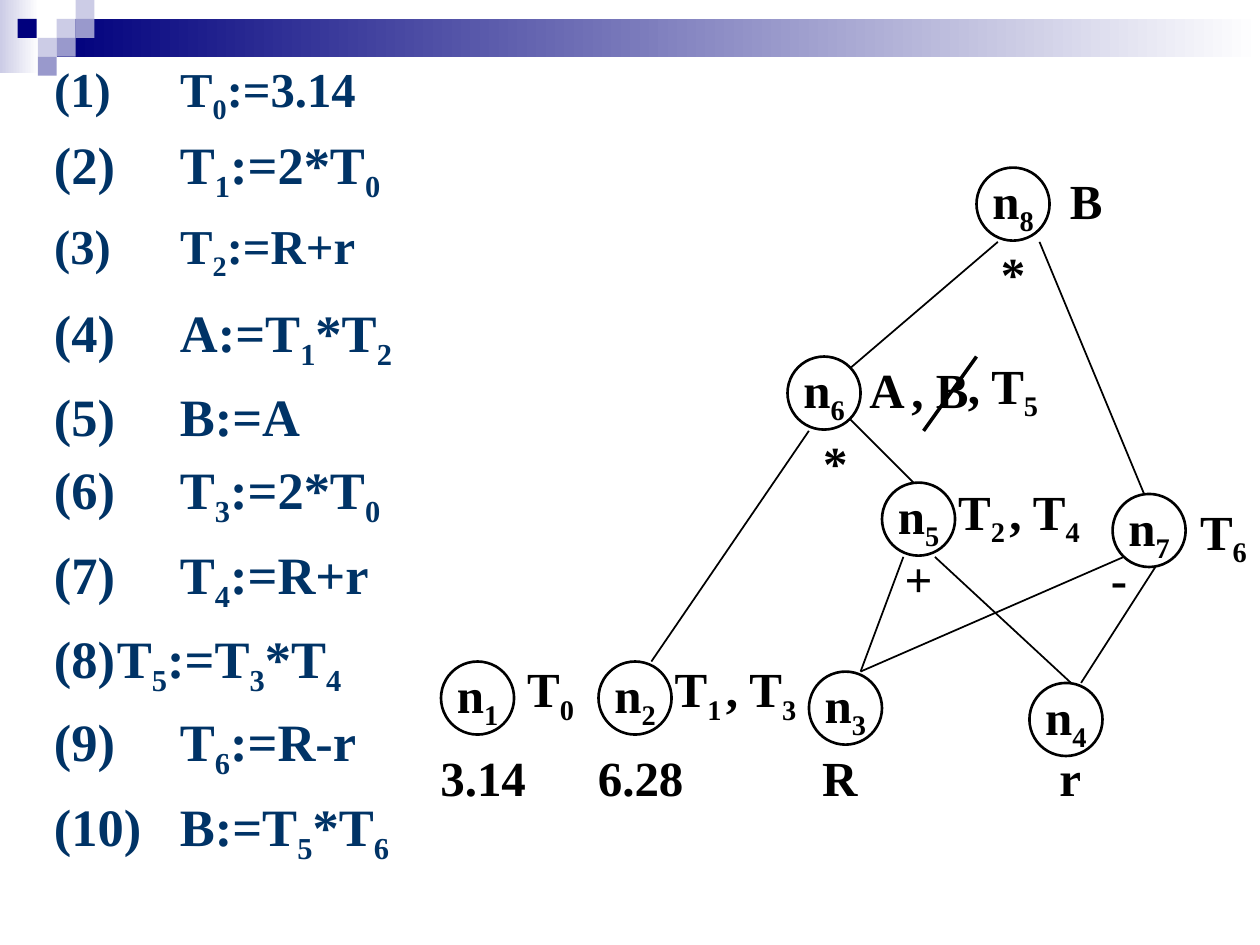
import pptx
import pptx.util
import pptx.dml.color
import pptx.enum.shapes
import pptx.enum.text
import pptx.oxml.ns
import lxml.etree

Inches = pptx.util.Inches
Pt = pptx.util.Pt
kinds = pptx.enum.shapes.MSO_SHAPE
qn = pptx.oxml.ns.qn


def ink(hue):
    return pptx.dml.color.RGBColor.from_string(hue)


def write(shape, text, size=28, hue="000000", label=True, gap=1.0, tab=None):
    frame = shape.text_frame
    frame.auto_size = pptx.enum.text.MSO_AUTO_SIZE.NONE
    frame.word_wrap = not label
    frame.margin_left = frame.margin_right = Inches(0.1)
    frame.margin_top = frame.margin_bottom = Inches(0.05)
    anchors = pptx.enum.text.MSO_ANCHOR
    frame.vertical_anchor = anchors.MIDDLE if label else anchors.TOP
    para = frame.paragraphs[0]
    aligns = pptx.enum.text.PP_ALIGN
    para.alignment = aligns.CENTER if label else aligns.LEFT
    para.line_spacing = gap
    para.space_before = Pt(0)
    if tab:
        props = para._p.get_or_add_pPr()
        props.set("marL", "0")
        props.set("indent", "0")
        lxml.etree.SubElement(props, qn("a:buNone"))
        stops = lxml.etree.SubElement(props, qn("a:tabLst"))
        lxml.etree.SubElement(stops, qn("a:tab"), pos=str(Inches(tab)), algn="l")
    first, *rest = text.split("_")
    parts = [(first, False)]
    for part in rest:
        parts += [(part[0], True), (part[1:], False)]
    for part, low in parts:
        if part:
            run = para.add_run()
            run.text = part
            run.font.name = "Times New Roman"
            run.font.size = Pt(size)
            run.font.bold = True
            run.font.color.rgb = ink(hue)
            if low:
                run._r.get_or_add_rPr().set("baseline", "-25000")


deck = pptx.Presentation()
deck.slide_width = Inches(10)
deck.slide_height = Inches(7.5)
slide = deck.slides.add_slide(deck.slide_layouts[3])
shapes = slide.shapes
title = shapes.title
title._element.getparent().remove(title._element)
bodies = {1: slide.placeholders[1], 3: slide.placeholders[2]}

side = 0.15
bars = [
    (0, 0, 0.31, 0.58, "CCCCE6", True),
    (0.45, 0.15, 9.55, 0.3, "00007D", True),
    (0.45, 0.15, side, side, "CCCCE6", False),
    (0.6, 0, side, side, "CCCCE6", False),
    (0.6, 0.15, side, side, "9999CC", False),
    (0.3, 0.3, side, side, "CCCCE6", False),
    (0.14, 0.15, side, side, "00007D", False),
    (0.45, 0.3, side, side, "9999CC", False),
    (0.3, 0.45, side, side, "9999CC", False),
]
for left, top, wide, high, hue, fade in bars:
    bar = shapes.add_shape(kinds.RECTANGLE, Inches(left), Inches(top), Inches(wide), Inches(high))
    bar.shadow.inherit = False
    bar.line.fill.background()
    if fade:
        bar.fill.gradient()
        bar.fill.gradient_angle = 0
        for stop, shade, place in zip(bar.fill.gradient_stops, (hue, "FFFFFF"), (0, 1)):
            stop.color.rgb = ink(shade)
            stop.position = place
    else:
        bar.fill.solid()
        bar.fill.fore_color.rgb = ink(hue)

codes = [
    ("(1) \tT_0:=3.14", 0.42, 3.08, 0.67),
    ("(2) \tT_1:=2*T_0", 1, 3, 0.75),
    ("(3) \tT_2:=R+r", 1.67, 2.92, 0.67),
    ("(4) \tA:=T_1*T_2", 2.33, 3, 0.75),
    ("(5) \tB:=A", 3, 2.83, 0.67),
    ("(6) \tT_3:=2*T_0", 3.58, 3, 0.75),
    ("(7) \tT_4:=R+r", 4.25, 3.17, 0.83),
    ("(8)\tT_5:=T_3*T_4", 4.92, 3.33, 0.83),
    ("(9) \tT_6:=R-r", 5.58, 3, 0.75),
    ("(10)\tB:=T_5*T_6", 6.25, 3, 0.83),
]
for row, (text, top, wide, high) in enumerate(codes, 1):
    spot = Inches(0.33), Inches(top), Inches(wide), Inches(high)
    if row in bodies:
        box = bodies[row]
        box.left, box.top, box.width, box.height = spot
    else:
        box = shapes.add_textbox(*spot)
    write(box, text, size=27.8 if row in bodies else 30, hue="003366", label=False,
          gap=0.9 if row in bodies else 1.0, tab=0.9 if row == 8 else 1)

nodes = [(3.5, 5.25), (4.75, 5.25), (6.42, 5.33), (8.17, 5.42),
         (7, 3.83), (6.25, 2.83), (8.83, 3.92), (7.75, 1.33)]
for num, (left, top) in enumerate(nodes, 1):
    node = shapes.add_shape(kinds.OVAL, Inches(left), Inches(top), Inches(0.58), Inches(0.58))
    node.shadow.inherit = False
    node.fill.background()
    node.line.color.rgb = ink("000000")
    node.line.width = Pt(1.5)
    write(node, f"n_{num}")

edges = [
    (7.17, 4.42, 6.83, 5.33, 1),
    (7.42, 4.42, 8.5, 5.42, 1),
    (6.42, 3.42, 5.17, 5.25, 1),
    (6.75, 3.33, 7.25, 3.83, 1),
    (6.83, 5.33, 8.92, 4.42, 1),
    (8.58, 5.42, 9.17, 4.5, 1),
    (7.92, 1.92, 6.75, 2.92, 1),
    (8.25, 1.92, 9.08, 3.92, 1),
    (7.75, 2.83, 7.33, 3.42, 2),
]
for *ends, thick in edges:
    edge = shapes.add_connector(pptx.enum.shapes.MSO_CONNECTOR.STRAIGHT, *map(Inches, ends))
    edge.line.color.rgb = ink("000000")
    edge.line.width = Pt(thick)
    lxml.etree.SubElement(edge._element.spPr, qn("a:effectLst"))

labels = {
    0.83: [("3.14", 3.42, 6), ("6.28", 4.67, 6), ("R", 6.25, 6), ("r", 8.08, 6)],
    0.58: [("T_0", 4.08, 5.33), ("T_1", 5.25, 5.33), (", T_3", 5.75, 5.33),
           ("T_2", 7.5, 3.92), (", T_4", 8, 3.92), ("A", 6.75, 2.92),
           (", B", 7.17, 2.92), (", T_5", 7.67, 2.92), ("B", 8.33, 1.42),
           ("T_6", 9.42, 4.08)],
    0.42: [("+", 7.08, 4.42), ("*", 6.42, 3.5), ("-", 8.67, 4.42), ("*", 7.83, 2)],
}
for wide, group in labels.items():
    for text, left, top in group:
        box = shapes.add_textbox(Inches(left), Inches(top), Inches(wide), Inches(0.33))
        write(box, text)

deck.save("out.pptx")
